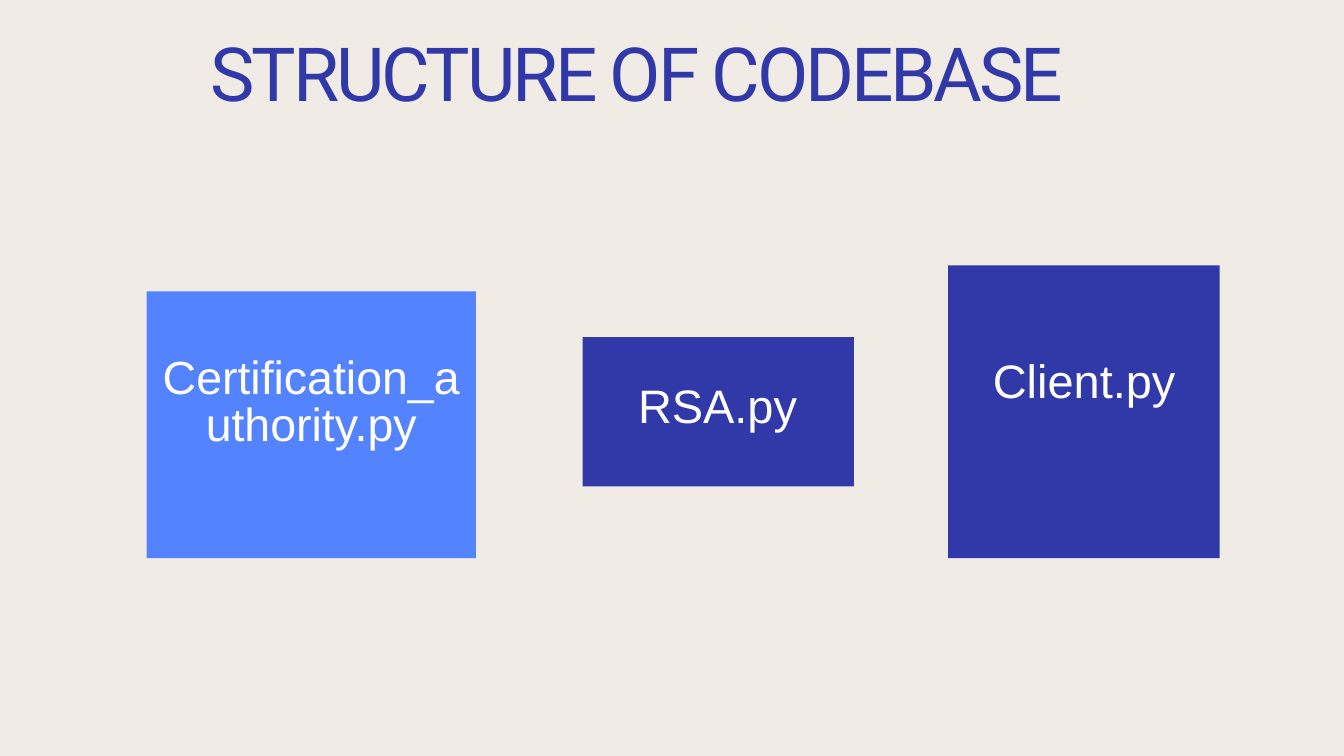
from pptx import Presentation, util as u
from pptx.dml.color import RGBColor
from pptx.enum import shapes, text


def paint(fill, tint):
    fill.solid()
    fill.fore_color.rgb = RGBColor.from_string(tint)


def write(box, words, face, size, lead, tint):
    frame = box.text_frame
    frame.word_wrap = True
    frame.auto_size = text.MSO_AUTO_SIZE.NONE
    frame.vertical_anchor = text.MSO_ANCHOR.TOP
    frame.margin_left = frame.margin_right = 0
    frame.margin_top = frame.margin_bottom = 0
    frame.text = words
    para = frame.paragraphs[0]
    para.alignment = text.PP_ALIGN.CENTER
    para.line_spacing = u.Pt(lead)
    run = para.runs[0]
    run.font.name = face
    run.font.size = u.Pt(size)
    paint(run.font.fill, tint)
    return run


deck = Presentation()
deck.slide_width, deck.slide_height = u.Cm(50.8), u.Cm(28.58)
slide = deck.slides.add_slide(deck.slide_layouts[5])
paint(slide.background.fill, "F1EBE5")

title = slide.shapes.title
title.left, title.top = u.Cm(5.54), u.Cm(1.57)
title.width, title.height = u.Cm(37.06), u.Cm(2.95)
run = write(title, "STRUCTURE OF CODEBASE", "Roboto", 80, 80, "3139A8")
run._r.get_or_add_rPr().set("spc", "-340")

files = [
    ("Certification_authority.py", "5383FF", 49.8,
     (5.54, 11.02, 12.45, 10.08), (6.1, 13.44, 11.33, 3.76)),
    ("Client.py", "3139A8", 50.3,
     (35.84, 10.03, 10.26, 11.07), (37.13, 13.59, 7.7, 1.98)),
    ("RSA.py", "3139A8", 50.3,
     (22.02, 12.75, 10.26, 5.64), (23.01, 14.53, 8.23, 1.98)),
]
for name, tint, size, block, label in files:
    card = slide.shapes.add_shape(shapes.MSO_SHAPE.RECTANGLE, *map(u.Cm, block))
    card.shadow.inherit = False
    paint(card.fill, tint)
    card.line.fill.background()
    box = slide.shapes.add_textbox(*map(u.Cm, label))
    write(box, name, "Arial", size, size + 1.5, "FFFFFF")

deck.save("out.pptx")
